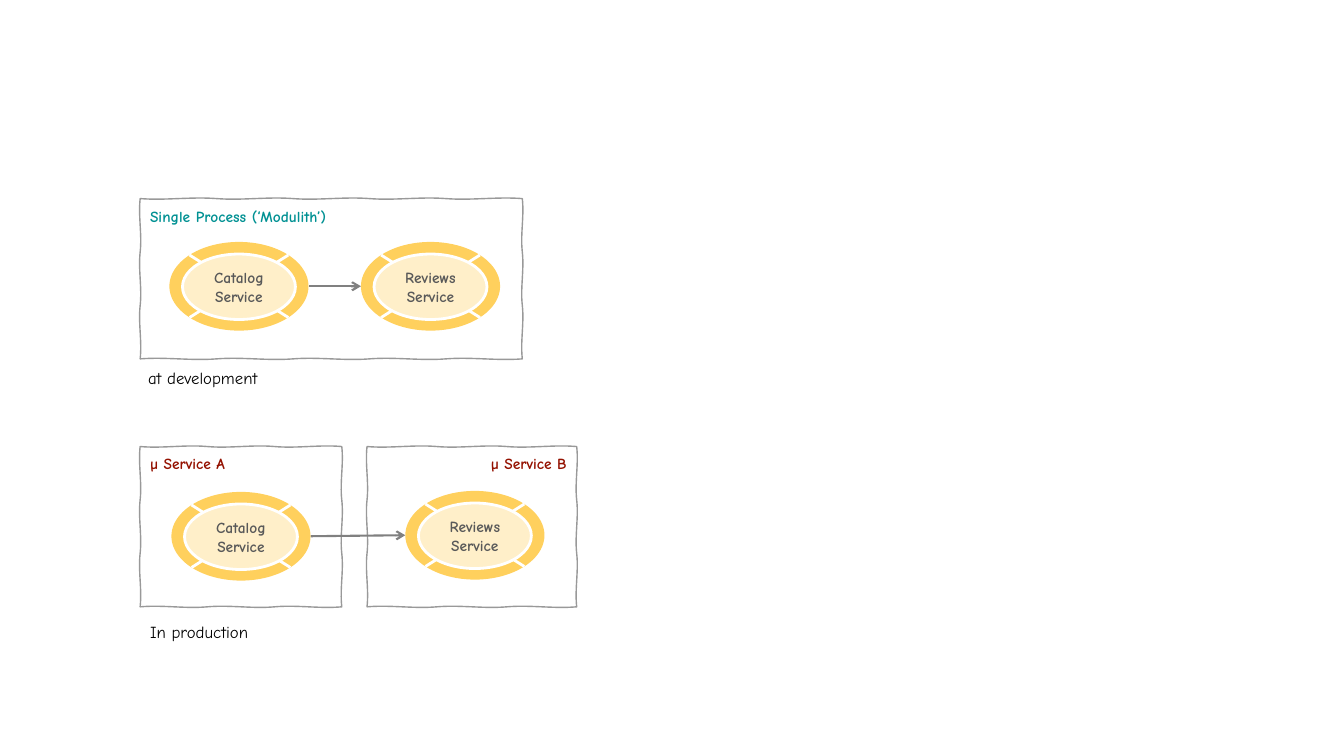
from lxml.etree import SubElement
from pptx import Presentation
from pptx.dml.color import RGBColor
from pptx.enum.shapes import MSO_CONNECTOR, MSO_SHAPE
from pptx.enum.text import MSO_ANCHOR, PP_ALIGN
from pptx.oxml.ns import qn
from pptx.util import Pt

PX = 9144  # EMU per px, 100 px to the inch
FONT = "Comic Neue"
WOBBLE = 2
RING_W, RING_H = 138, 88
GOLD, CREAM, WHITE = "FFD05D", "FFEFC9", "FFFFFF"
GRAY, FRAME_GRAY, TEXT_GRAY = "808080", "999999", "595959"
TEAL, RED, BLACK = "009193", "941100", "000000"


def px(*lengths):
    return [n * PX for n in lengths]


def color(hex_code):
    return RGBColor.from_string(hex_code)


def write(s, text, size, hex_code, bold=False, align=PP_ALIGN.LEFT,
          anchor=MSO_ANCHOR.TOP, inset=(10, 5)):
    tf = s.text_frame
    tf.word_wrap = True
    tf.vertical_anchor = anchor
    tf.margin_left = tf.margin_right = inset[0] * PX
    tf.margin_top = tf.margin_bottom = inset[1] * PX
    p = tf.paragraphs[0]
    p.alignment = align
    r = p.add_run()
    r.text = text
    r.font.name = FONT
    r.font.size = Pt(size)
    r.font.bold = bold
    r.font.color.rgb = color(hex_code)


def add_line(shapes, x1, y1, x2, y2, hex_code, width):
    c = shapes.add_connector(MSO_CONNECTOR.STRAIGHT, *px(x1, y1, x2, y2))
    c.line.color.rgb = color(hex_code)
    c.line.width = Pt(width)
    SubElement(c._element.spPr, qn("a:effectLst"))
    return c


def add_arrow(shapes, x1, y1, x2, y2):
    c = add_line(shapes, x1, y1, x2, y2, GRAY, 1.5)
    SubElement(c.line._get_or_add_ln(), qn("a:tailEnd"), type="arrow")


def add_oval(shapes, x, y, w, h, fill):
    s = shapes.add_shape(MSO_SHAPE.OVAL, *px(x, y, w, h))
    s.shadow.inherit = False
    s.fill.solid()
    s.fill.fore_color.rgb = color(fill)
    s.line.fill.background()
    return s


def add_service(shapes, x, y, name):
    """Add a ring cut into four segments around a labelled core."""
    group = shapes.add_group_shape().shapes
    add_oval(group, x, y, RING_W, RING_H, GOLD)
    left, right, top, bottom = x + 20, x + 118, y + 13, y + 75
    add_line(group, left, top, right, bottom, WHITE, 2)
    add_line(group, right, top, left, bottom, WHITE, 2)
    core = add_oval(group, x + 13, y + 12, 112, 65, CREAM)
    core.line.color.rgb = color(WHITE)
    core.line.width = Pt(2)
    write(core, name, 11, TEXT_GRAY, True, PP_ALIGN.CENTER,
          MSO_ANCHOR.MIDDLE, (8, 8))


def side_joints(start, end):
    """Split a side into equal stretches and return where each one ends."""
    (x1, y1), (x2, y2) = start, end
    n = max(3, (abs(x2 - x1) + abs(y2 - y1)) // 75)
    return [(x1 + (x2 - x1) * i / n, y1 + (y2 - y1) * i / n)
            for i in range(1, n + 1)]


def bend_lines(s, sway):
    """Turn each straight stretch of a freeform into a gentle S-curve."""
    start = s._element.find(".//" + qn("a:moveTo"))[0]
    x1, y1 = int(start.get("x")), int(start.get("y"))
    for stretch in list(s._element.iter(qn("a:lnTo"))):
        end = stretch[0]
        x2, y2 = int(end.get("x")), int(end.get("y"))
        dx, dy = (0, sway) if y1 == y2 else (sway, 0)
        curve = stretch.makeelement(qn("a:cubicBezTo"))
        for t, sign in ((1 / 3, 1), (2 / 3, -1)):
            SubElement(curve, qn("a:pt"),
                       x=str(round(x1 + (x2 - x1) * t + sign * dx)),
                       y=str(round(y1 + (y2 - y1) * t + sign * dy)))
        curve.append(end)
        stretch.getparent().replace(stretch, curve)
        x1, y1 = x2, y2


def add_process(shapes, x, y, w, h, title, hex_code, align=PP_ALIGN.LEFT):
    """Add a hand-drawn frame with its title at the top."""
    fine = 100
    corners = [(x, y), (x + w, y), (x + w, y + h), (x, y + h)]
    builder = shapes.build_freeform(x * fine, y * fine, PX / fine)
    for start, end in zip(corners, corners[1:] + corners[:1]):
        builder.add_line_segments(
            [(a * fine, b * fine) for a, b in side_joints(start, end)],
            close=end == corners[0])
    s = builder.convert_to_shape()
    bend_lines(s, WOBBLE * fine)
    s.shadow.inherit = False
    s.fill.background()
    s.line.color.rgb = color(FRAME_GRAY)
    s.line.width = Pt(1)
    write(s, title, 11, hex_code, True, align, inset=(10, 8))


def add_caption(shapes, x, y, w, text):
    s = shapes.add_textbox(*px(x, y, w, 30))
    write(s, text, 12, BLACK)


def main():
    prs = Presentation()
    prs.slide_width, prs.slide_height = px(1333, 750)
    shapes = prs.slides.add_slide(prs.slide_layouts[6]).shapes

    add_arrow(shapes, 306, 284, 358, 284)
    add_service(shapes, 168, 240, "Catalog Service")
    add_service(shapes, 358, 240, "Reviews Service")

    add_process(shapes, 139, 443, 200, 159, "µ Service A", RED)
    add_process(shapes, 364, 443, 208, 159, "µ Service B", RED, PP_ALIGN.RIGHT)
    add_arrow(shapes, 308, 532, 402, 531)
    add_service(shapes, 170, 488, "Catalog Service")
    add_service(shapes, 402, 487, "Reviews Service")

    add_process(shapes, 139, 197, 379, 159, "Single Process (‘Modulith’)", TEAL)
    add_caption(shapes, 137, 360, 135, "at development")
    add_caption(shapes, 139, 612, 122, "In production")

    prs.save("out.pptx")


if __name__ == "__main__":
    main()
